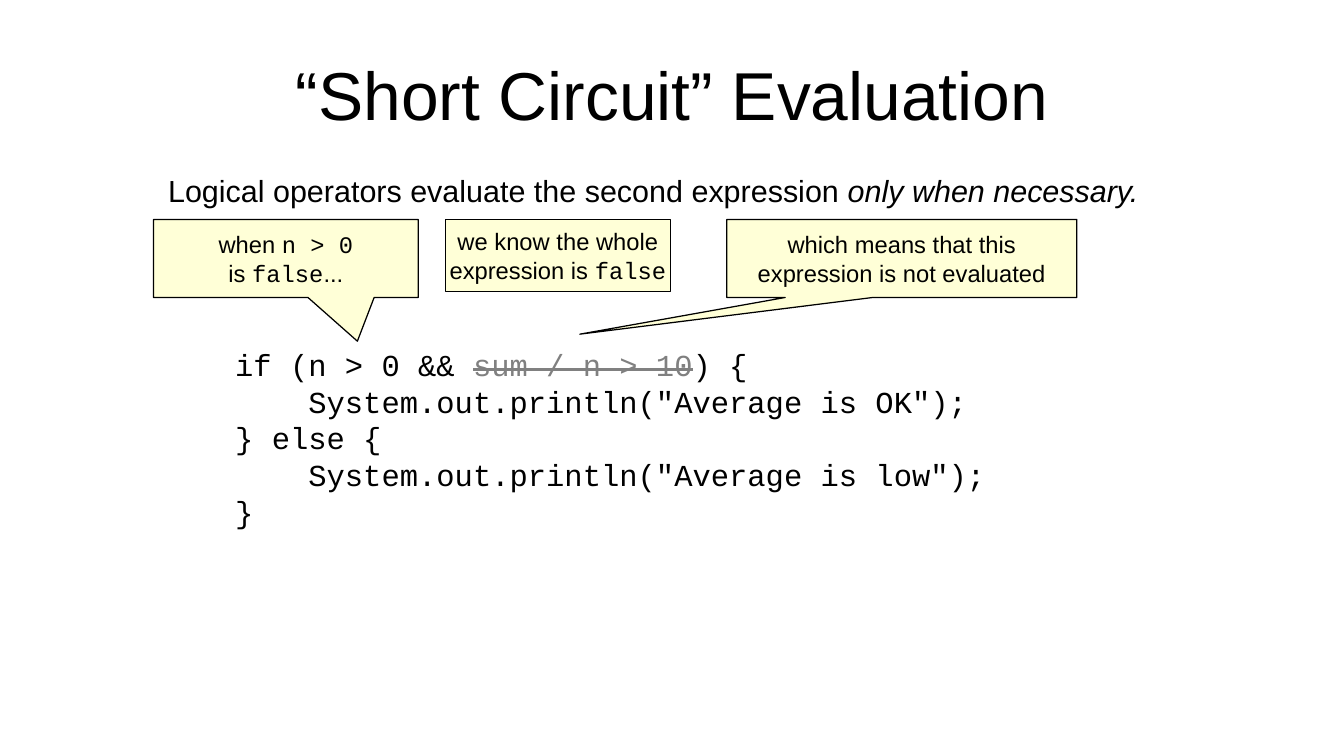
from pptx import Presentation
from pptx.dml.color import RGBColor
from pptx.enum import shapes, text
from pptx.util import Inches, Pt

BLACK = RGBColor(0, 0, 0)
GRAY = RGBColor(0x80, 0x80, 0x80)
CREAM = RGBColor(0xFF, 0xFF, 0xD7)
SANS = "Arial"
MONO = "Courier New"
CHAR = 0.15  # width of one 18 pt Courier New letter, in inches


def add_run(para, words, size, font=SANS, color=BLACK, italic=None, strike=False):
    """Add one run; each newline becomes a line break."""
    for i, line in enumerate(words.split("\n")):
        if i:
            para.add_line_break()
        if not line:
            continue
        run = para.add_run()
        run.text = line
        run.font.size = Pt(size)
        run.font.name = font
        run.font.color.rgb = color
        run.font.italic = italic
        if strike:
            run.font._element.set("strike", "sngStrike")


def write(frame, *paras, size=18, font=SANS, align=None, anchor=None, wrap=False):
    """Fill a frame; a paragraph is a list of (words, format) pairs."""
    frame.word_wrap = wrap
    frame.auto_size = text.MSO_AUTO_SIZE.NONE
    frame.vertical_anchor = anchor
    for i, runs in enumerate(paras):
        para = frame.add_paragraph() if i else frame.paragraphs[0]
        para.alignment = align
        for words, form in runs:
            add_run(para, words, size, **{"font": font, **form})


def add_title(slide, words):
    title = slide.shapes.title
    title.left, title.top = Inches(0.55), Inches(0.25)
    title.width, title.height = Inches(9.92), Inches(1.04)
    frame = title.text_frame
    frame.margin_left = frame.margin_right = 0
    frame.margin_top = frame.margin_bottom = 0
    write(frame, [(words, {})], size=40, align=text.PP_ALIGN.CENTER,
          anchor=text.MSO_ANCHOR.MIDDLE, wrap=True)


def add_text(slide, left, top, width, height, *paras, **form):
    box = slide.shapes.add_textbox(
        Inches(left), Inches(top), Inches(width), Inches(height))
    write(box.text_frame, *paras, **form)
    return box.text_frame


def add_note(slide, left, width, height, runs, tip=None):
    """Add a cream note; tip is the callout point relative to its centre."""
    kinds = shapes.MSO_SHAPE
    kind = kinds.RECTANGULAR_CALLOUT if tip else kinds.RECTANGLE
    note = slide.shapes.add_shape(
        kind, Inches(left), Inches(1.8), Inches(width), Inches(height))
    note.shadow.inherit = False
    note.fill.solid()
    note.fill.fore_color.rgb = CREAM
    note.line.color.rgb = BLACK
    note.line.width = Pt(0)
    if tip:
        note.adjustments[0], note.adjustments[1] = tip
    write(note.text_frame, runs, size=14, align=text.PP_ALIGN.CENTER,
          anchor=text.MSO_ANCHOR.MIDDLE)


def add_code(slide):
    frame = add_text(
        slide, 1.83, 2.79, 6.35, 1.52,
        [("if (n > 0 && ", {}),
         ("sum / n > 10", {"color": GRAY, "strike": True}),
         (") {", {})],
        [('System.out.println("Average is OK");', {})],
        [("} else {", {})],
        [('System.out.println("Average is low");', {})],
        [("}", {})],
        font=MONO)
    for para in frame.paragraphs[1::2]:
        props = para._p.get_or_add_pPr()
        props.set("marL", str(Inches(4 * CHAR)))
        props.set("indent", "0")


def main():
    deck = Presentation()
    deck.slide_width, deck.slide_height = Inches(11.02), Inches(6.2)
    slide = deck.slides.add_slide(deck.slide_layouts.get_by_name("Title Only"))

    add_title(slide, "“Short Circuit” Evaluation")
    add_text(slide, 1.28, 1.36, 8.16, 0.38,
             [("Logical operators evaluate the second expression ", {}),
              ("only when necessary.", {"italic": True})])
    add_code(slide)

    code = {"font": MONO}
    add_note(slide, 1.26, 2.17, 0.64,
             [("when ", {}), ("n > 0\n", code), ("is ", {}),
              ("false", code), ("...", {})], tip=(0.27, 1.06))
    add_note(slide, 3.65, 1.85, 0.59,
             [("we know the whole\nexpression is ", {}), ("false", code)])
    add_note(slide, 5.96, 2.87, 0.64,
             [("which means that this\nexpression is not evaluated", {})],
             tip=(-0.92, 0.97))
    deck.save("out.pptx")


if __name__ == "__main__":
    main()
